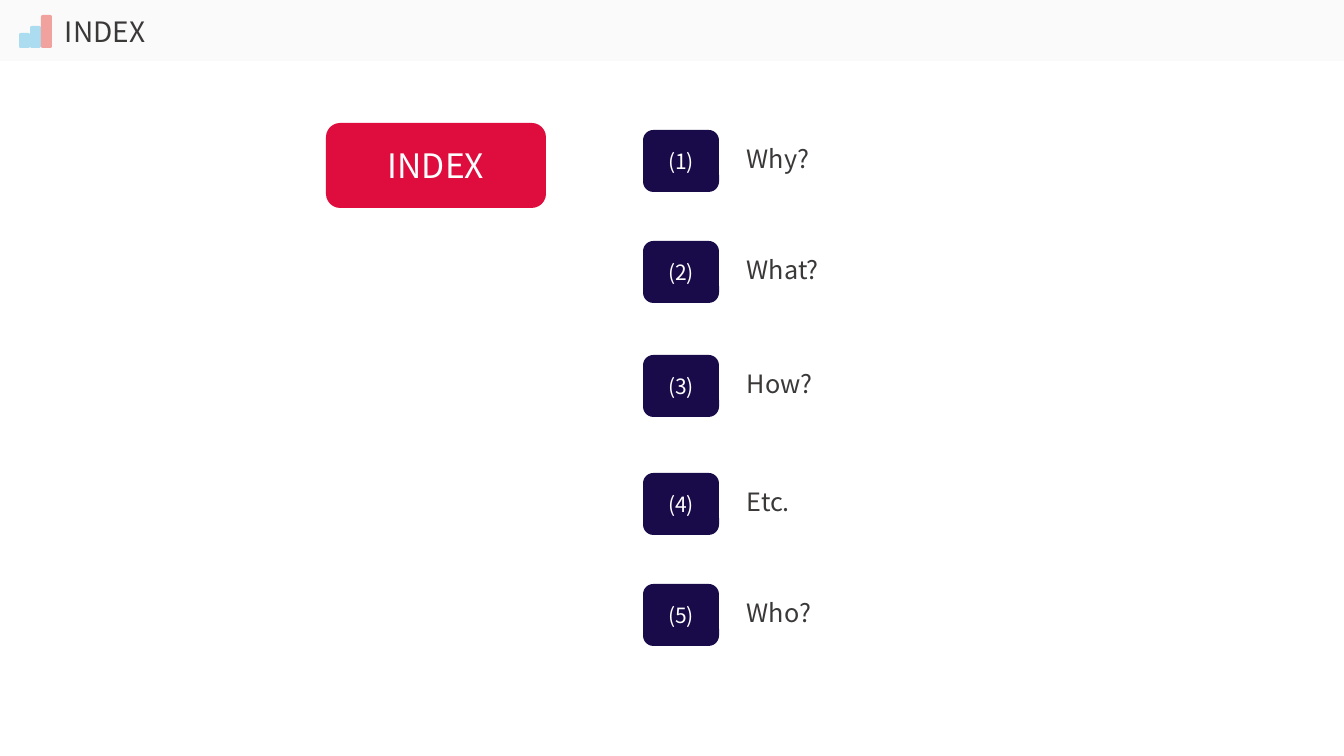
from dataclasses import dataclass

from pptx import Presentation
from pptx.dml.color import RGBColor
from pptx.enum.shapes import MSO_SHAPE
from pptx.enum.text import MSO_ANCHOR, MSO_AUTO_SIZE, PP_ALIGN
from pptx.util import Emu, Pt

EMU_PER_PX = 914400 / 100.8


@dataclass(frozen=True)
class Theme:
    font: str = "Noto Sans CJK KR"
    band: str = "FAFAFA"
    blue: str = "ACDCEF"
    coral: str = "F1A19E"
    red: str = "DF0D3D"
    navy: str = "190A49"
    ink: str = "3B3838"
    white: str = "FFFFFF"
    header_size: int = 20
    title_size: int = 24
    number_size: int = 15
    topic_size: int = 18


def px(length):
    return Emu(round(length * EMU_PER_PX))


class SlideBuilder:
    def __init__(self, deck, theme):
        self.theme = theme
        self.slide = deck.slides.add_slide(deck.slide_layouts[6])

    def set_text(self, frame, text, size, color):
        frame.word_wrap = True
        para = frame.paragraphs[0]
        para.text = text
        para.font.name = self.theme.font
        para.font.size = Pt(size)
        para.font.color.rgb = RGBColor.from_string(color)
        return para

    def block(self, left, top, width, height, fill, kind=MSO_SHAPE.ROUNDED_RECTANGLE):
        box = self.slide.shapes.add_shape(kind, px(left), px(top), px(width), px(height))
        box.shadow.inherit = False
        box.fill.solid()
        box.fill.fore_color.rgb = RGBColor.from_string(fill)
        box.line.fill.background()
        return box

    def badge(self, left, top, width, height, fill, text, size):
        """Add a rounded block with centred white text."""
        frame = self.block(left, top, width, height, fill).text_frame
        frame.vertical_anchor = MSO_ANCHOR.MIDDLE
        self.set_text(frame, text, size, self.theme.white).alignment = PP_ALIGN.CENTER

    def label(self, left, top, width, height, text, size):
        box = self.slide.shapes.add_textbox(px(left), px(top), px(width), px(height))
        self.set_text(box.text_frame, text, size, self.theme.ink)
        box.text_frame.auto_size = MSO_AUTO_SIZE.SHAPE_TO_FIT_TEXT


def main():
    theme = Theme()
    deck = Presentation()
    deck.slide_width, deck.slide_height = px(1344), px(756)
    page = SlideBuilder(deck, theme)

    page.block(0, 0, 1344, 61, theme.band, MSO_SHAPE.RECTANGLE)
    icon_left, icon_bottom, bar_width = 19, 48, 11
    icon_bars = [(15, theme.blue), (22, theme.blue), (33, theme.coral)]
    for column, (height, color) in enumerate(icon_bars):
        page.block(icon_left + column * bar_width, icon_bottom - height,
                   bar_width, height, color)
    page.label(55, 10, 106, 44, "INDEX", theme.header_size)

    page.badge(326, 123, 220, 85, theme.red, "INDEX", theme.title_size)
    topics = [(130, "Why?"), (241, "What?"), (355, "How?"), (473, "Etc."), (584, "Who?")]
    for number, (top, topic) in enumerate(topics, start=1):
        page.badge(643, top, 76, 62, theme.navy, f"({number})", theme.number_size)
        page.label(737, top + 8, 219, 40, topic, theme.topic_size)

    deck.save("out.pptx")


if __name__ == "__main__":
    main()
